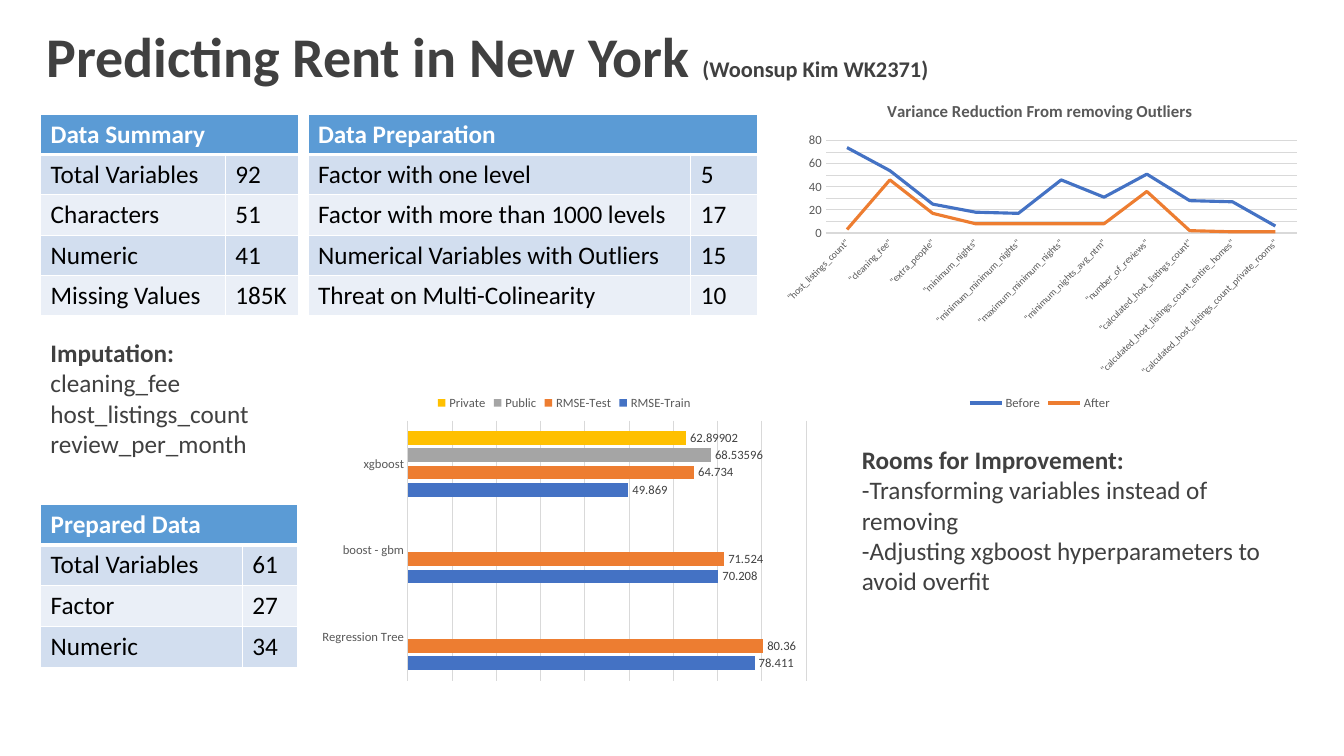
from lxml.etree import SubElement
from pptx import Presentation
from pptx.chart.data import CategoryChartData
from pptx.dml.color import RGBColor
from pptx.enum.chart import XL_CHART_TYPE as ChartType, XL_LABEL_POSITION as LabelAt
from pptx.enum.chart import XL_LEGEND_POSITION as LegendAt, XL_TICK_MARK as Tick
from pptx.oxml import parse_xml
from pptx.oxml.ns import nsdecls, qn
from pptx.util import Pt

BLUE, ORANGE, GRAY, GOLD = "4472C4", "ED7D31", "A5A5A5", "FFC000"
INK, MUTED, GRID, WHITE = "404040", "595959", "D9D9D9", "FFFFFF"
HEADER, BANDS = "5B9BD5", ("D2DEEF", "EAEFF7")


def rgb(value):
    return RGBColor.from_string(value)


def paint(fill, color):
    fill.solid()
    fill.fore_color.rgb = rgb(color)


def rule(line, color, width):
    line.color.rgb = rgb(color)
    line.width = Pt(width)


def border(cell, sides):
    properties = cell._tc.get_or_add_tcPr()
    for side, width in sides.items():
        edge = SubElement(properties, qn(f"a:ln{side}"), w=str(Pt(width)))
        SubElement(SubElement(edge, qn("a:solidFill")), qn("a:srgbClr"), val=WHITE)


class Board:
    face = "Calibri"

    def __init__(self, slide):
        self.slide = slide

    def style(self, font, size, color, bold=False):
        font.name, font.size, font.bold = self.face, Pt(size), bold
        font.color.rgb = rgb(color)

    def run(self, paragraph, words, size, color, bold=False):
        run = paragraph.add_run()
        run.text = words
        self.style(run.font, size, color, bold)

    def text(self, box, paragraphs):
        frame = self.slide.shapes.add_textbox(*map(Pt, box)).text_frame
        frame.word_wrap = True
        for index, runs in enumerate(paragraphs):
            paragraph = frame.add_paragraph() if index else frame.paragraphs[0]
            for words, size, bold in runs:
                self.run(paragraph, words, size, INK, bold)

    def note(self, box, heading, lines):
        self.text(box, [[(heading, 18, True)]] + [[(line, 18, False)] for line in lines])

    def table(self, left, top, widths, row_height, heading, entries):
        rows = [(heading, "")] + entries
        table = self.slide.shapes.add_table(
            len(rows), 2, Pt(left), Pt(top), Pt(sum(widths)), Pt(row_height * len(rows))).table
        for column, width in zip(table.columns, widths):
            column.width = Pt(width)
        for r, entry in enumerate(rows):
            table.rows[r].height = Pt(row_height)
            for c, words in enumerate(entry):
                cell = table.cell(r, c)
                border(cell, {"L": 1, "R": 1, "T": 3 if r == 1 else 1, "B": 1 if r else 3})
                paint(cell.fill, BANDS[(r - 1) % 2] if r else HEADER)
                if words:
                    self.run(cell.text_frame.paragraphs[0], words, 18,
                             "000000" if r else WHITE, r == 0)
        table.cell(0, 0).merge(table.cell(0, 1))

    def chart(self, kind, box, categories, series, legend_at, top_value, plot_box, label_size):
        data = CategoryChartData()
        data.categories = categories
        for name, values, _ in series:
            data.add_series(name, values)
        chart = self.slide.shapes.add_chart(kind, *map(Pt, box), data).chart
        chart.has_title = False
        self.style(chart.font, 10, "000000")
        chart.has_legend = True
        chart.legend.position = legend_at
        chart.legend.include_in_layout = False
        self.style(chart.legend.font, 9, MUTED)

        names, scale = chart.category_axis, chart.value_axis
        for axis, size in ((names, label_size), (scale, 9)):
            axis.major_tick_mark = axis.minor_tick_mark = Tick.NONE
            self.style(axis.tick_labels.font, size, MUTED)
        rule(names.format.line, GRID, 0.75)
        scale.minimum_scale, scale.maximum_scale, scale.major_unit = 0, top_value, 10
        scale.format.line.fill.background()
        scale.has_major_gridlines = True
        rule(scale.major_gridlines.format.line, GRID, 0.75)

        area = chart._chartSpace.chart.plotArea
        for layout in area.findall(qn("c:layout")):
            area.remove(layout)
        places = "".join(f'<c:{tag} val="{value}"/>' for tag, value in zip("xywh", plot_box))
        area.insert(0, parse_xml(
            f'<c:layout {nsdecls("c")}><c:manualLayout><c:layoutTarget val="inner"/>'
            f'<c:xMode val="edge"/><c:yMode val="edge"/>{places}</c:manualLayout></c:layout>'))
        chart.plots[0].vary_by_categories = False
        return chart

    def line_chart(self, box, title, categories, series, **options):
        chart = self.chart(ChartType.LINE, box, categories, series, LegendAt.BOTTOM, **options)
        chart.has_title = True
        self.run(chart.chart_title.text_frame.paragraphs[0], title, 12, MUTED, True)
        chart.chart_title.include_in_layout = False
        chart.category_axis._element.txPr.bodyPr.set("rot", "-2700000")
        for drawn, (_, _, color) in zip(chart.plots[0].series, series):
            drawn.smooth = False
            rule(drawn.format.line, color, 2.25)

    def bar_chart(self, box, categories, series, **options):
        chart = self.chart(ChartType.BAR_CLUSTERED, box, categories, series, LegendAt.TOP, **options)
        chart.value_axis.visible = False
        chart.plots[0].gap_width, chart.plots[0].overlap = 150, -25
        for drawn, (_, _, color) in zip(chart.plots[0].series, series):
            paint(drawn.format.fill, color)
            labels = drawn.data_labels
            labels.show_value = True
            labels.position = LabelAt.OUTSIDE_END
            self.style(labels.font, 9, INK)


deck = Presentation()
deck.slide_width, deck.slide_height = Pt(960), Pt(540)
board = Board(deck.slides.add_slide(deck.slide_layouts[6]))

board.text((26, 11.5, 934, 55.5), [[("Predicting Rent in New York ", 40, True),
                                    ("(Woonsup Kim WK2371)", 16, True)]])
board.table(29, 81.5, (132, 52), 28.8, "Data Summary", [
    ("Total Variables", "92"), ("Characters", "51"), ("Numeric", "41"), ("Missing Values", "185K")])
board.table(220, 81.5, (273.5, 47.5), 28.8, "Data Preparation", [
    ("Factor with one level", "5"), ("Factor with more than 1000 levels", "17"),
    ("Numerical Variables with Outliers", "15"), ("Threat on Multi-Colinearity", "10")])
board.note((29, 237.5, 169, 117), "Imputation:",
           ["cleaning_fee", "host_listings_count", "review_per_month"])

variables = ["host_listings_count", "cleaning_fee", "extra_people", "minimum_nights",
             "minimum_minimum_nights", "maximum_minimum_nights", "minimum_nights_avg_ntm",
             "number_of_reviews", "calculated_host_listings_count",
             "calculated_host_listings_count_entire_homes",
             "calculated_host_listings_count_private_rooms"]
board.line_chart(
    (551.5, 60.5, 382.5, 235.5), "Variance Reduction From removing Outliers",
    [f'"{variable}"' for variable in variables],
    [("Before", (74, 54, 25, 18, 17, 46, 31, 51, 28, 27, 6), BLUE),
     ("After", (3, 46, 17, 8, 8, 8, 8, 36, 2, 1, 1), ORANGE)],
    top_value=80, plot_box=(0.1, 0.17, 0.88, 0.28), label_size=7)

board.table(29, 360, (144, 39.5), 29.2, "Prepared Data", [
    ("Total Variables", "61"), ("Factor", "27"), ("Numeric", "34")])
board.bar_chart(
    (223, 274.5, 360, 216), ["Regression Tree", "boost - gbm", "xgboost"],
    [("RMSE-Train", (78.411, 70.208, 49.869), BLUE),
     ("RMSE-Test", (80.36, 71.524, 64.734), ORANGE),
     ("Public", (None, None, 68.53596), GRAY),
     ("Private", (None, None, 62.89902), GOLD)],
    top_value=90, plot_box=(0.19, 0.12, 0.79, 0.86), label_size=9)
board.note((608.5, 314, 318, 138), "Rooms for Improvement:",
           ["-Transforming variables instead of removing",
            "-Adjusting xgboost hyperparameters to avoid overfit"])

deck.save("out.pptx")
